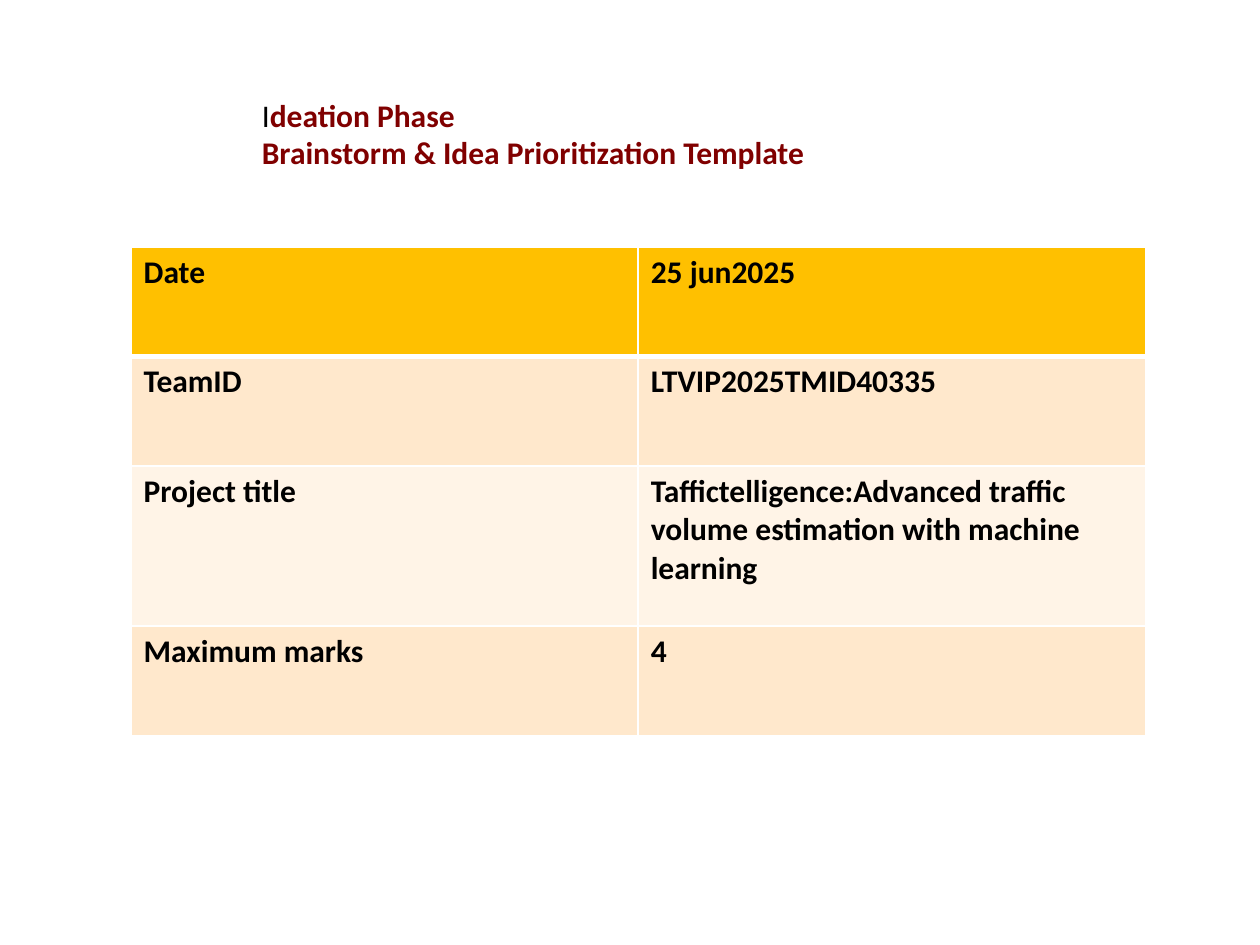
from dataclasses import dataclass

from lxml.etree import SubElement
from pptx import Presentation
from pptx.dml.color import RGBColor
from pptx.oxml.ns import qn
from pptx.util import Inches, Pt


@dataclass(frozen=True)
class Theme:
    font: str = "Calibri"
    size: int = 18
    ink: str = "000000"
    accent: str = "800000"
    border: str = "FFFFFF"
    header: str = "FFC000"
    bands: tuple[str, str] = ("FFE8CC", "FFF4E7")
    thin: int = 1
    thick: int = 3


@dataclass(frozen=True)
class Row:
    label: str
    value: str
    height: float = 0.87


THEME = Theme()
WIDTH, HEIGHT = 10, 7.5
TITLE_LEFT, TITLE_TOP, TITLE_HEIGHT = 1.98, 0.71, 0.98
TABLE_LEFT, TABLE_TOP, COLUMN_WIDTH = 1.04, 1.96, 4.025
ROWS = [
    Row("Date", "25 jun2025"),
    Row("TeamID", "LTVIP2025TMID40335"),
    Row("Project title",
        "Taffictelligence:Advanced traffic volume estimation with machine learning",
        height=1.27),
    Row("Maximum marks", "4"),
]


def add_text(p, text: str, *, color: str = THEME.ink, bold: bool = True) -> None:
    r = p.add_run()
    r.text = text
    r.font.name = THEME.font
    r.font.size = Pt(THEME.size)
    r.font.bold = bold
    r.font.color.rgb = RGBColor.from_string(color)


def set_borders(cell, top: int, bottom: int) -> None:
    tc_pr = cell._tc.get_or_add_tcPr()
    sides = {"L": THEME.thin, "R": THEME.thin, "T": top, "B": bottom}
    for side, width in sides.items():
        ln = SubElement(tc_pr, qn(f"a:ln{side}"), w=str(Pt(width)))
        fill = SubElement(ln, qn("a:solidFill"))
        SubElement(fill, qn("a:srgbClr"), val=THEME.border)


def add_title(s) -> None:
    sp = s.shapes.add_textbox(Inches(TITLE_LEFT), Inches(TITLE_TOP),
                              Inches(WIDTH - TITLE_LEFT), Inches(TITLE_HEIGHT))
    tf = sp.text_frame
    tf.word_wrap = True
    p = tf.paragraphs[0]
    add_text(p, "I", bold=False)
    add_text(p, "deation Phase", color=THEME.accent)
    p.add_line_break()
    add_text(p, "Brainstorm & Idea Prioritization Template", color=THEME.accent)


def add_details(s, rows: list[Row]) -> None:
    table = s.shapes.add_table(
        len(rows), 2, Inches(TABLE_LEFT), Inches(TABLE_TOP),
        Inches(2 * COLUMN_WIDTH), Inches(sum(row.height for row in rows))).table
    for column in table.columns:
        column.width = Inches(COLUMN_WIDTH)
    for i, row in enumerate(rows):
        table.rows[i].height = Inches(row.height)
        color = THEME.bands[(i - 1) % 2] if i else THEME.header
        for j, text in enumerate((row.label, row.value)):
            cell = table.cell(i, j)
            set_borders(cell, top=THEME.thick if i == 1 else THEME.thin,
                        bottom=THEME.thick if i == 0 else THEME.thin)
            cell.fill.solid()
            cell.fill.fore_color.rgb = RGBColor.from_string(color)
            add_text(cell.text_frame.paragraphs[0], text)


def main() -> None:
    prs = Presentation()
    prs.slide_width, prs.slide_height = Inches(WIDTH), Inches(HEIGHT)
    s = prs.slides.add_slide(prs.slide_layouts[6])
    add_title(s)
    add_details(s, ROWS)
    prs.save("out.pptx")


if __name__ == "__main__":
    main()
